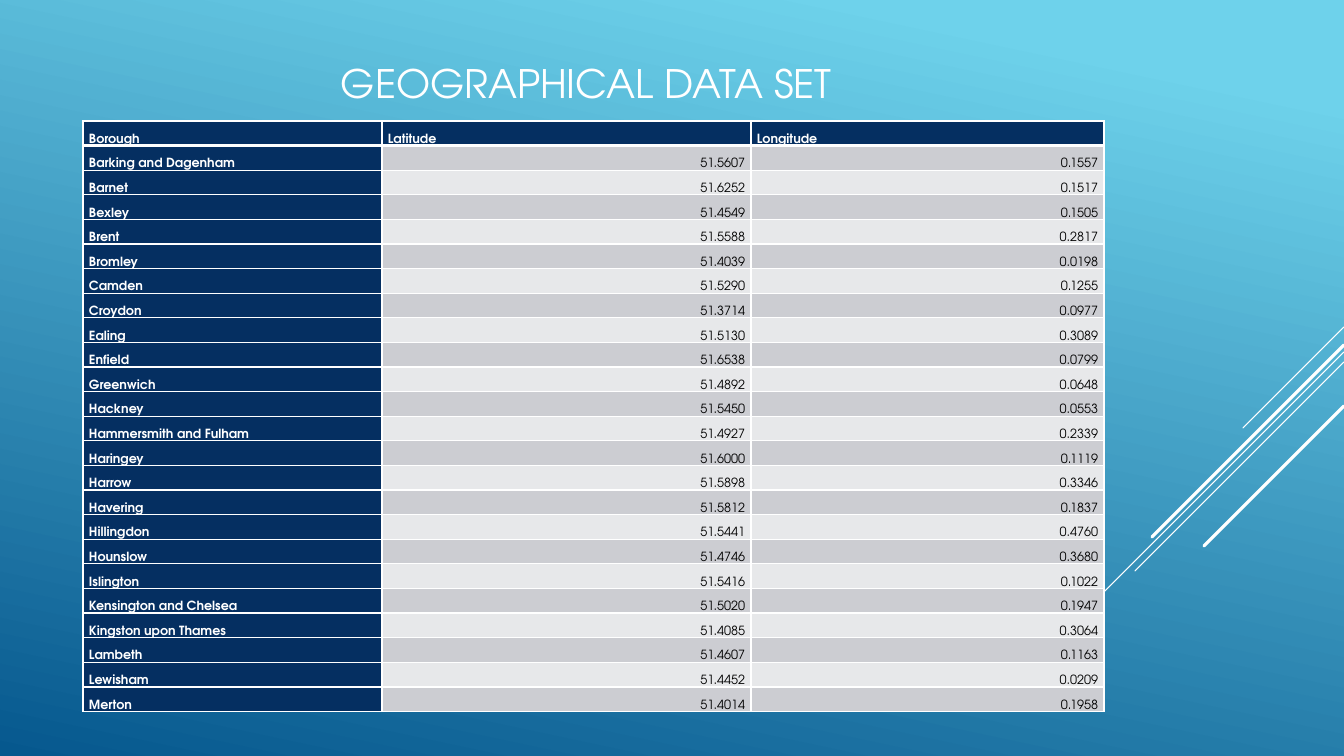
from lxml.etree import SubElement
from pptx import Presentation
from pptx.dml.color import RGBColor
from pptx.enum.shapes import MSO_CONNECTOR
from pptx.enum.text import MSO_ANCHOR, PP_ALIGN
from pptx.oxml import parse_xml
from pptx.oxml.ns import nsdecls, qn
from pptx.util import Emu, Pt

TITLE = "GEOGRAPHICAL DATA SET"
HEADER = ("Borough", "Latitude", "Longitude")
BOROUGHS = [
    ("Barking and Dagenham", "51.5607", "0.1557"),
    ("Barnet", "51.6252", "0.1517"),
    ("Bexley", "51.4549", "0.1505"),
    ("Brent", "51.5588", "0.2817"),
    ("Bromley", "51.4039", "0.0198"),
    ("Camden", "51.5290", "0.1255"),
    ("Croydon", "51.3714", "0.0977"),
    ("Ealing", "51.5130", "0.3089"),
    ("Enfield", "51.6538", "0.0799"),
    ("Greenwich", "51.4892", "0.0648"),
    ("Hackney", "51.5450", "0.0553"),
    ("Hammersmith and Fulham", "51.4927", "0.2339"),
    ("Haringey", "51.6000", "0.1119"),
    ("Harrow", "51.5898", "0.3346"),
    ("Havering", "51.5812", "0.1837"),
    ("Hillingdon", "51.5441", "0.4760"),
    ("Hounslow", "51.4746", "0.3680"),
    ("Islington", "51.5416", "0.1022"),
    ("Kensington and Chelsea", "51.5020", "0.1947"),
    ("Kingston upon Thames", "51.4085", "0.3064"),
    ("Lambeth", "51.4607", "0.1163"),
    ("Lewisham", "51.4452", "0.0209"),
    ("Merton", "51.4014", "0.1958"),
]
# Diagonals at 45 degrees: y at the right edge, run to the left, weight in points
DIAGONALS = [(327, 101, 0.75), (352, 329, 0.75), (362, 209, 0.75),
             (345, 192, 2.25), (406, 140, 2.25)]

SLIDE_WIDTH, SLIDE_HEIGHT = 1344, 756
TITLE_BOX = (116, 29, 940, 108)
TABLE_LEFT, TABLE_TOP, TABLE_HEIGHT = 83, 121, 591
COLUMN_WIDTHS = (299, 369, 353)
CELL_INSET = 6

FONT = "TeX Gyre Adventor"
WHITE = RGBColor(0xFF, 0xFF, 0xFF)
BLACK = RGBColor(0x00, 0x00, 0x00)
NAVY = RGBColor(0x05, 0x2F, 0x61)
BANDS = (RGBColor(0xCC, 0xCD, 0xD2), RGBColor(0xE7, 0xE8, 0xEA))
SKY = RGBColor(0x6E, 0xD2, 0xEB)
OCEAN = RGBColor(0x06, 0x58, 0x8E)


def px(length):
    return Emu(round(length * 914400 / 100.8))


def write_text(frame, text, size, color=WHITE, bold=False, align=PP_ALIGN.LEFT, spacing=1.0):
    paragraph = frame.paragraphs[0]
    paragraph.alignment = align
    paragraph.line_spacing = spacing
    run = paragraph.add_run()
    run.text = text
    run.font.name = FONT
    run.font.size = Pt(size)
    run.font.bold = bold
    run.font.color.rgb = color


def paint_background(slide):
    fill = slide.background.fill
    fill.gradient()
    fill.gradient_angle = 258
    for stop, position, color in zip(fill.gradient_stops, (0.1, 1), (SKY, OCEAN)):
        stop.position = position
        stop.color.rgb = color


def add_diagonal(slide, top, run, weight):
    line = slide.shapes.add_connector(
        MSO_CONNECTOR.STRAIGHT, px(SLIDE_WIDTH), px(top), px(SLIDE_WIDTH - run), px(top + run))
    line.line.color.rgb = WHITE
    line.line.width = Pt(weight)
    properties = line._element.spPr
    properties.find(qn("a:ln")).set("cap", "rnd")
    SubElement(properties, qn("a:effectLst"))


def add_title(slide):
    box = slide.shapes.add_textbox(*map(px, TITLE_BOX))
    box.text_frame.word_wrap = True
    box.text_frame.vertical_anchor = MSO_ANCHOR.MIDDLE
    write_text(box.text_frame, TITLE, 28, align=PP_ALIGN.CENTER)


def set_borders(cell, **weights):
    """Draw white cell borders; L, R, T and B override the 1 pt weight."""
    properties = cell._tc.get_or_add_tcPr()
    for index, side in enumerate("LRTB"):
        width = Pt(weights.get(side, 1))
        properties.insert(index, parse_xml(
            f'<a:ln{side} {nsdecls("a")} w="{width}"><a:solidFill>'
            f'<a:srgbClr val="{WHITE}"/></a:solidFill></a:ln{side}>'))


def add_borough_table(slide):
    rows = [HEADER, *BOROUGHS]
    table = slide.shapes.add_table(
        len(rows), len(HEADER), px(TABLE_LEFT), px(TABLE_TOP),
        px(sum(COLUMN_WIDTHS)), px(TABLE_HEIGHT)).table
    for column, width in zip(table.columns, COLUMN_WIDTHS):
        column.width = px(width)
    for row_index, values in enumerate(rows):
        table.rows[row_index].height = px(TABLE_HEIGHT / len(rows))
        for column_index, value in enumerate(values):
            cell = table.cell(row_index, column_index)
            is_heading = row_index == 0 or column_index == 0
            cell.margin_left = cell.margin_right = px(CELL_INSET)
            cell.margin_top = cell.margin_bottom = 0
            cell.vertical_anchor = MSO_ANCHOR.BOTTOM
            cell.fill.solid()
            cell.fill.fore_color.rgb = NAVY if is_heading else BANDS[(row_index - 1) % 2]
            set_borders(cell, T=3 if row_index == 1 else 1, B=3 if row_index == 0 else 1)
            write_text(cell.text_frame, value, 9, spacing=1.07, bold=is_heading,
                       color=WHITE if is_heading else BLACK,
                       align=PP_ALIGN.LEFT if is_heading else PP_ALIGN.RIGHT)


def main():
    presentation = Presentation()
    presentation.slide_width = px(SLIDE_WIDTH)
    presentation.slide_height = px(SLIDE_HEIGHT)
    slide = presentation.slides.add_slide(presentation.slide_layouts[6])
    paint_background(slide)
    for diagonal in DIAGONALS:
        add_diagonal(slide, *diagonal)
    add_title(slide)
    add_borough_table(slide)
    presentation.save("out.pptx")


if __name__ == "__main__":
    main()
